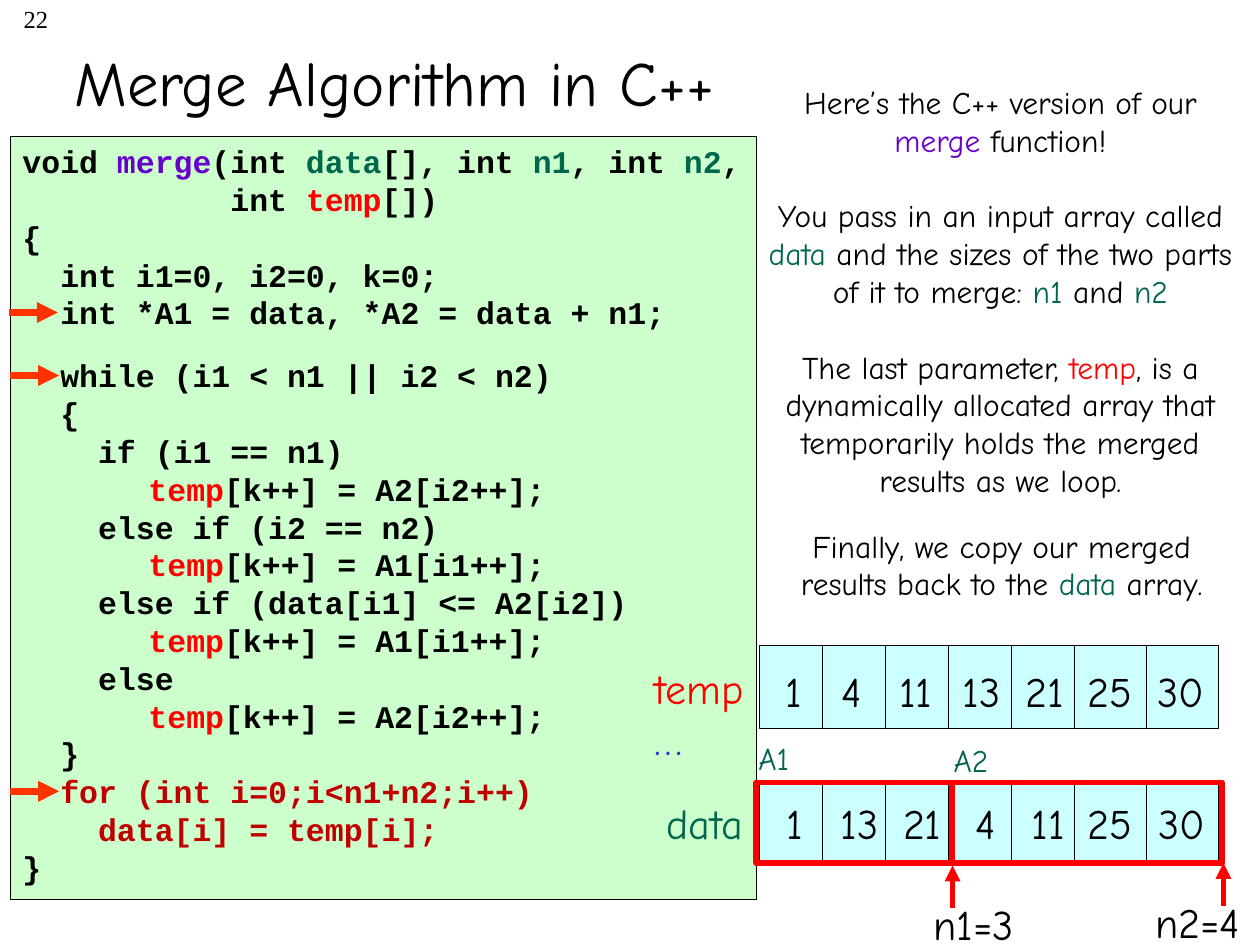
import pptx
import pptx.util
import pptx.dml.color
import pptx.enum.shapes
import pptx.enum.text
import pptx.oxml.ns
from dataclasses import dataclass
from lxml import etree

Inches = pptx.util.Inches
Pt = pptx.util.Pt
Align = pptx.enum.text.PP_ALIGN
qn = pptx.oxml.ns.qn


@dataclass
class Theme:
    hand: str = "Comic Neue"
    mono: str = "Courier New"
    serif: str = "Times New Roman"
    title: int = 36
    large: int = 24
    body: int = 18
    page: int = 14
    black: str = "000000"
    purple: str = "6600CC"
    green: str = "00664D"
    red: str = "FF0000"
    dark: str = "C00000"
    blue: str = "3333CC"
    orange: str = "FF3300"
    mint: str = "CCFFCC"
    cyan: str = "CCFFFF"


T = Theme()
RGB = pptx.dml.color.RGBColor.from_string
INKS = {"P": T.purple, "G": T.green, "R": T.red, "D": T.dark, "B": T.blue}


# Coloured parts stand in «», led by the letter of their ink: «Gdata»
def write(shape, lines, size, face=T.hand, align=Align.LEFT, gap=None, bold=False):
    frame = shape.text_frame
    for num, line in enumerate(lines):
        para = frame.paragraphs[0] if num == 0 else frame.add_paragraph()
        para.alignment = align
        if gap and num in gap:
            para.space_before = Pt(gap[num])
        if line.startswith("\t"):
            tabs = etree.SubElement(para._p.get_or_add_pPr(), qn("a:tabLst"))
            etree.SubElement(tabs, qn("a:tab"), pos=str(Inches(1)), algn="l")
        para.font.name, para.font.size, para.font.bold = face, Pt(size), bold
        para.font.color.rgb = RGB(T.black)
        for num_part, part in enumerate(line.replace("»", "«").split("«")):
            inked = num_part % 2 == 1
            text = part[1:] if inked else part
            for row, piece in enumerate(text.split("\n")):
                if row:
                    para.add_line_break()
                if piece:
                    run = para.add_run()
                    run.text = piece
                    if inked:
                        run.font.color.rgb = RGB(INKS[part[0]])


def label(left, top, width, height, lines, size, wrap=False, **style):
    box = slide.shapes.add_textbox(Inches(left), Inches(top), Inches(width), Inches(height))
    box.text_frame.word_wrap = wrap
    write(box, lines, size, **style)


deck = pptx.Presentation()
deck.slide_width, deck.slide_height = Inches(10), Inches(7.5)
slide = deck.slides.add_slide(deck.slide_layouts[6])
rect = pptx.enum.shapes.MSO_SHAPE.RECTANGLE

# Page number and title
label(-1.6, -0.02, 2.08, 0.5, ["22"], T.page, wrap=True, face=T.serif, align=Align.RIGHT)
label(0.08, 0.3, 6.1, 0.7, ["Merge Algorithm in C++"], T.title, wrap=True, align=Align.CENTER)

# Code panel
code = [
    "void «Pmerge»(int «Gdata»[], int «Gn1», int «Gn2»,\n           int «Rtemp»[])",
    "{",
    "  int i1=0, i2=0, k=0;",
    "  int *A1 = data, *A2 = data + n1;",
    "  while (i1 < n1 || i2 < n2)",
    "  {",
    "    if (i1 == n1)",
    "\t«Rtemp»[k++] = A2[i2++];",
    "    else if (i2 == n2)",
    "\t«Rtemp»[k++] = A1[i1++];",
    "    else if (data[i1] <= A2[i2])",
    "\t«Rtemp»[k++] = A1[i1++];",
    "    else",
    "\t«Rtemp»[k++] = A2[i2++];",
    "  }",
    "«D  for (int i=0;i<n1+n2;i++)»",
    "«D    data[i] = temp[i];»",
    "}",
]
panel = slide.shapes.add_shape(rect, Inches(0.08), Inches(1.08), Inches(5.92), Inches(6.06))
panel.shadow.inherit = False
panel.fill.solid()
panel.fill.fore_color.rgb = RGB(T.mint)
panel.line.color.rgb = RGB(T.black)
panel.line.width = Pt(0.25)
panel.text_frame.vertical_anchor = pptx.enum.text.MSO_ANCHOR.TOP
write(panel, code, T.body, face=T.mono, bold=True, gap={4: 14.4})

# Explanation
label(5.96, 0.61, 3.96, 3.43, [
    "Here’s the C++ version of our «Pmerge» function!",
    "You pass in an input array called «Gdata» and the sizes of the two parts "
    "of it to merge: «Gn1» and «Gn2»",
    "The last parameter, «Rtemp», is a dynamically allocated array that "
    "temporarily holds the merged results as we loop.",
], T.body, wrap=True, align=Align.CENTER, gap={1: 21.6, 2: 21.6})
label(6, 4.13, 3.9, 0.71, [
    "Finally, we copy our merged results back to the «Gdata» array.",
], T.body, wrap=True, align=Align.CENTER)

# Arrays: cells, then the numbers by their centres
lefts = [6.03, 6.53, 7.03, 7.53, 8.03, 8.53, 9.1]
rows = [
    (5.12, 5.23, {6.3: 1, 6.76: 4, 7.27: 11, 7.79: 13, 8.29: 21, 8.81: 25, 9.37: 30}),
    (6.19, 6.28, {6.31: 1, 6.82: 13, 7.32: 21, 7.82: 4, 8.32: 11, 8.81: 25, 9.38: 30}),
]
for top, base, nums in rows:
    for left in lefts:
        cell = slide.shapes.add_shape(rect, Inches(left), Inches(top), Inches(0.57), Inches(0.66))
        cell.shadow.inherit = False
        cell.fill.solid()
        cell.fill.fore_color.rgb = RGB(T.cyan)
        cell.line.color.rgb = RGB(T.black)
        cell.line.width = Pt(0.25)
    for mid, num in nums.items():
        label(mid - 0.31, base, 0.62, 0.5, [str(num)], T.large, align=Align.CENTER)

# Array names
label(5.1, 5.21, 1.1, 0.9, ["«Rtemp»", "«B…»"], T.large)
label(5.19, 6.28, 0.89, 0.5, ["«Gdata»"], T.large)
label(5.92, 5.82, 0.83, 0.4, ["«GA1»"], T.body, wrap=True)
label(7.47, 5.83, 0.83, 0.4, ["«GA2»"], T.body, wrap=True)

# Frames around the two parts of data, with their sizes
for left, width in [(6, 1.55), (7.56, 2.14)]:
    frame = slide.shapes.add_shape(rect, Inches(left), Inches(6.21), Inches(width), Inches(0.64))
    frame.shadow.inherit = False
    frame.fill.background()
    frame.line.color.rgb = RGB(T.red)
    frame.line.width = Pt(3)
label(7.31, 7.08, 0.91, 0.51, ["n1=3"], T.large)
label(9.07, 7.07, 0.92, 0.5, ["n2=4"], T.large)

# Arrows: size marks, then code pointers
arrows = [(7.56, 7.21, 7.56, 6.87, T.red, 3), (9.71, 7.19, 9.71, 6.85, T.red, 3)]
arrows += [(x, y, x + 0.39, y, T.orange, 4) for x, y in [(0.07, 2.48), (0.08, 2.98), (0.08, 6.28)]]
for x1, y1, x2, y2, ink, width in arrows:
    arrow = slide.shapes.add_connector(
        pptx.enum.shapes.MSO_CONNECTOR.STRAIGHT, Inches(x1), Inches(y1), Inches(x2), Inches(y2))
    arrow.line.color.rgb = RGB(ink)
    arrow.line.width = Pt(width)
    etree.SubElement(arrow.line._get_or_add_ln(), qn("a:tailEnd"), type="triangle")
    etree.SubElement(arrow._element.spPr, qn("a:effectLst"))

deck.save("out.pptx")
